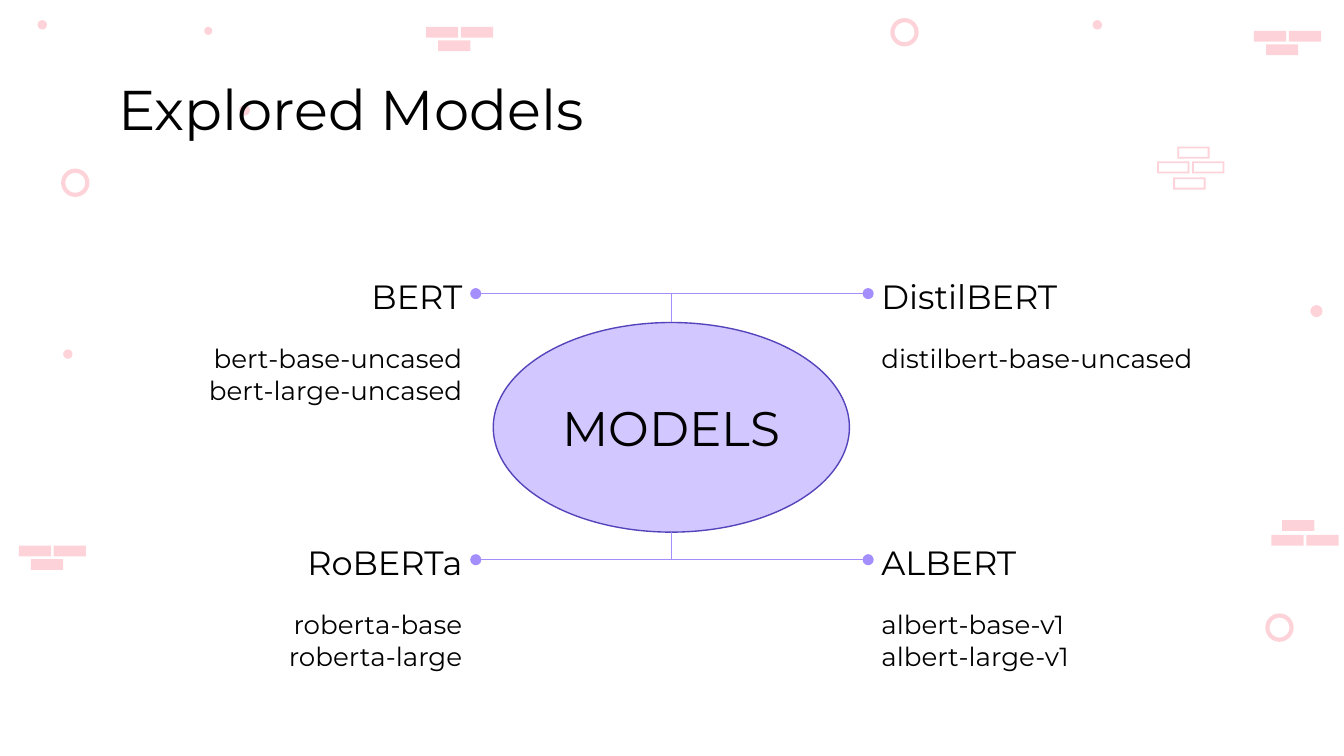
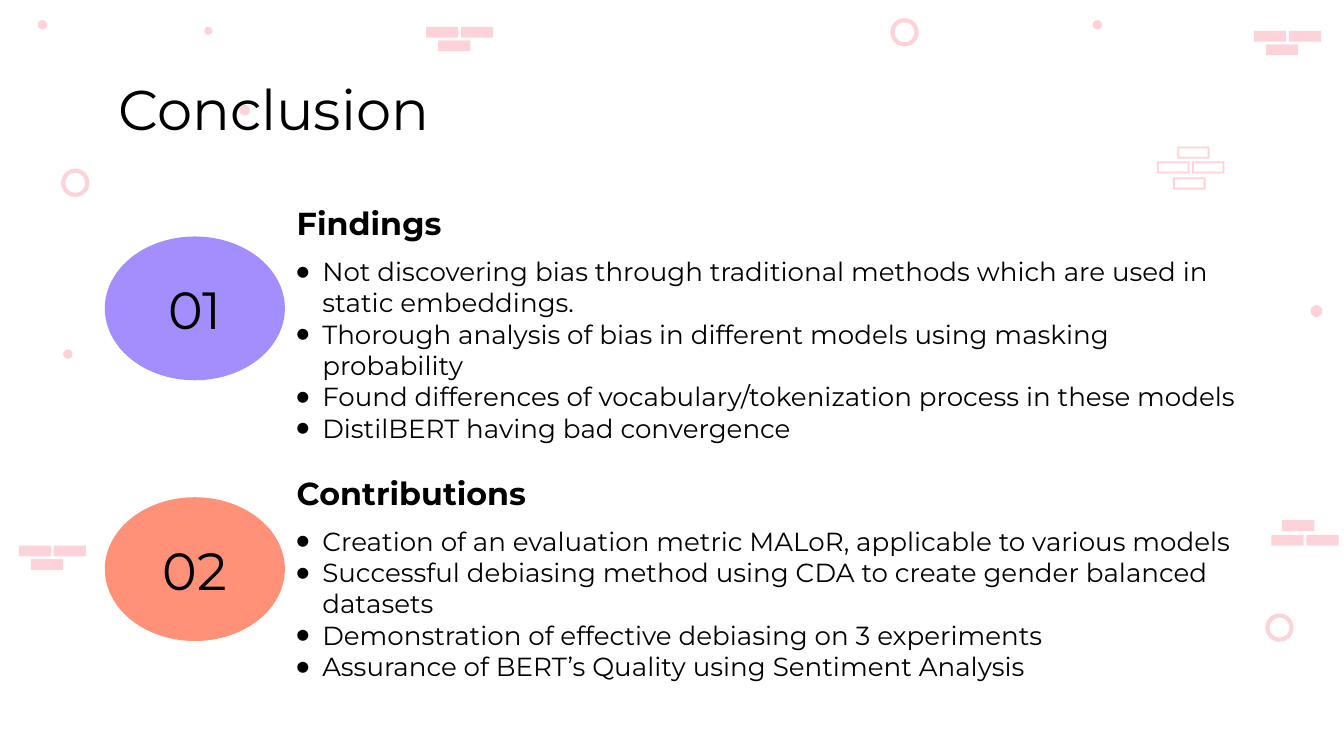
from dataclasses import dataclass

from lxml.etree import SubElement
from pptx import Presentation
from pptx.dml.color import RGBColor
from pptx.enum.shapes import MSO_CONNECTOR, MSO_SHAPE
from pptx.enum.text import MSO_ANCHOR, MSO_AUTO_SIZE, PP_ALIGN
from pptx.oxml.ns import qn
from pptx.util import Inches, Pt


@dataclass(frozen=True)
class Theme:
    """Colours, font and type sizes of the deck."""

    font: str = "Montserrat"
    black: RGBColor = RGBColor.from_string("000000")
    white: RGBColor = RGBColor.from_string("FFFFFF")
    pink: RGBColor = RGBColor.from_string("FDD3D9")
    violet: RGBColor = RGBColor.from_string("A48EFD")
    indigo: RGBColor = RGBColor.from_string("5344BB")
    coral: RGBColor = RGBColor.from_string("FF9178")
    title: int = 30
    number: int = 28
    hub: int = 26
    label: int = 18
    heading: int = 17
    body: int = 14


THEME = Theme()

BRICK_WALLS = [(9.33, 0.23), (3.17, 0.2), (0.14, 4.06)]
WALL_BRICKS = [(0, 0), (0.26, 0), (0.09, 0.1)]
RAISED_WALL = (9.46, 3.87)
RAISED_BRICKS = [(0.08, 0), (0, 0.11), (0.26, 0.11)]
HOLLOW_WALL = (8.61, 1.09)
HOLLOW_BRICKS = [(0, 0.11), (0.15, 0), (0.12, 0.23), (0.26, 0.11)]
DOTS = [
    (8.13, 0.15, 0.07), (1.78, 0.78, 0.08), (9.75, 2.27, 0.09),
    (0.47, 2.6, 0.07), (1.52, 0.2, 0.06), (0.28, 0.15, 0.07),
]
RINGS = [(6.64, 0.15), (0.47, 1.27), (9.43, 4.58)]

MODELS = [
    ("BERT", ["bert-base-uncased bert-large-uncased"], 2.5),
    ("DistilBERT", ["distilbert-base-uncased"], 2.59),
    ("RoBERTa", ["roberta-base\nroberta-large"], 2.5),
    ("ALBERT", ["albert-base-v1", "albert-large-v1"], 2.5),
]

SECTIONS = [
    ("01", THEME.violet, "Findings", 1.76, 2.13, [
        "Not discovering bias through traditional methods which are used in static embeddings.",
        "Thorough analysis of bias in different models using masking probability",
        "Found differences of vocabulary/tokenization process in these models",
        "DistilBERT having bad convergence",
    ]),
    ("02", THEME.coral, "Contributions", 3.7, 4.02, [
        "Creation of an evaluation metric MALoR, applicable to various models",
        "Successful debiasing method using CDA to create gender balanced datasets",
        "Demonstration of effective debiasing on 3 experiments",
        "Assurance of BERT’s Quality using Sentiment Analysis",
    ]),
]


def apply_format(target, values):
    """Set each named attribute of the target."""
    for name, value in values.items():
        setattr(target, name, value)


def add_figure(page, kind, box, fill=None, line=None, width=0.75):
    """Add a preset shape without shadow, with optional fill and line."""
    shape = page.shapes.add_shape(kind, *map(Inches, box))
    shape.shadow.inherit = False
    if fill is None:
        shape.fill.background()
    else:
        shape.fill.solid()
        shape.fill.fore_color.rgb = fill
    if line is None:
        shape.line.fill.background()
    else:
        shape.line.color.rgb = line
        shape.line.width = Pt(width)
    return shape


def prepare_frame(shape, anchor, bottom=0.1):
    """Give a text frame its wrapping, anchor and insets."""
    inset = Inches(0.1)
    apply_format(shape.text_frame, {
        "auto_size": MSO_AUTO_SIZE.NONE, "word_wrap": True, "vertical_anchor": anchor,
        "margin_left": inset, "margin_right": inset,
        "margin_top": inset, "margin_bottom": Inches(bottom),
    })
    return shape.text_frame


def write(para, text, size, align=PP_ALIGN.LEFT, bold=False):
    """Write formatted text into a paragraph, breaking at line ends."""
    para.alignment = align
    for index, line in enumerate(text.splitlines()):
        if index:
            para.add_line_break()
        span = para.add_run()
        span.text = line
        apply_format(span.font, {"name": THEME.font, "size": Pt(size), "bold": bold})
        span.font.color.rgb = THEME.black


def fill_text(shape, lines, size, align=PP_ALIGN.LEFT, anchor=MSO_ANCHOR.MIDDLE):
    """Write paragraphs of one style into a shape."""
    frame = prepare_frame(shape, anchor)
    for index, text in enumerate(lines):
        para = frame.add_paragraph() if index else frame.paragraphs[0]
        write(para, text, size, align)


def add_bullet(para):
    """Give a paragraph a small black bullet and a hanging indent."""
    properties = para._p.get_or_add_pPr()
    properties.set("marL", str(Inches(0.19)))
    properties.set("indent", str(Inches(-0.22)))
    colour = SubElement(properties, qn("a:buClr"))
    SubElement(colour, qn("a:srgbClr"), val=str(THEME.black))
    SubElement(properties, qn("a:buSzPct"), val="55000")
    SubElement(properties, qn("a:buFont"), typeface=THEME.font)
    SubElement(properties, qn("a:buChar"), char="●")


def add_bricks(page, corner, offsets, kind=MSO_SHAPE.RECTANGLE, height=0.08):
    """Lay bricks at offsets from the corner of a wall."""
    left, top = corner
    return [
        add_figure(page, kind, (left + right, top + down, 0.24, height), THEME.pink)
        for right, down in offsets
    ]


def decorate(page):
    """Scatter the pink ornaments and move them to the shared layout."""
    for corner in BRICK_WALLS:
        add_bricks(page, corner, WALL_BRICKS)
    add_bricks(page, RAISED_WALL, RAISED_BRICKS)
    for brick in add_bricks(page, HOLLOW_WALL, HOLLOW_BRICKS, MSO_SHAPE.FRAME, 0.09):
        brick.adjustments[0] = 0.15
    for left, top, size in DOTS:
        add_figure(page, MSO_SHAPE.OVAL, (left, top, size, size), THEME.pink)
    for left, top in RINGS:
        add_figure(page, MSO_SHAPE.OVAL, (left, top, 0.18, 0.18), line=THEME.pink, width=2.25)

    layout = page.slide_layout
    for placeholder in list(layout.placeholders)[1:]:
        placeholder.element.getparent().remove(placeholder.element)
    for shape in list(page.shapes):
        if not shape.is_placeholder:
            layout.element.cSld.spTree.append(shape.element)
    layout.background.fill.solid()
    layout.background.fill.fore_color.rgb = THEME.white


def add_page(deck, title, width):
    """Add a title-only page with its title in place."""
    page = deck.slides.add_slide(deck.slide_layouts[5])
    heading = page.shapes.title
    apply_format(heading, {
        "left": Inches(0.78), "top": Inches(0.58),
        "width": Inches(width), "height": Inches(0.45),
    })
    fill_text(heading, [title], THEME.title)
    return page


def add_hub(page, box):
    """Add the translucent ellipse in the middle of the map."""
    hub = add_figure(page, MSO_SHAPE.OVAL, box, THEME.violet, THEME.indigo)
    colour = hub.element.spPr.find(qn("a:solidFill")).find(qn("a:srgbClr"))
    SubElement(colour, qn("a:alpha"), val="49000")
    fill_text(hub, ["MODELS"], THEME.hub, PP_ALIGN.CENTER)
    return hub


def add_model(page, left, top, align, name, variants, width):
    """Add a model name over its variants and return the name."""
    label = add_figure(page, MSO_SHAPE.ROUNDED_RECTANGLE, (left, top, 2.5, 0.53))
    label.adjustments[0] = 0
    fill_text(label, [name], THEME.label, align, MSO_ANCHOR.BOTTOM)
    box = page.shapes.add_textbox(*map(Inches, (left, top + 0.53, width, 0.53)))
    fill_text(box, variants, THEME.body, align, MSO_ANCHOR.TOP)
    return label


def join(page, label, label_site, hub, hub_site):
    """Join a model name to the hub by a bent line with a dot."""
    connector = page.shapes.add_connector(MSO_CONNECTOR.ELBOW, 0, 0, 0, 0)
    connector.begin_connect(label, label_site)
    connector.end_connect(hub, hub_site)
    connector.line.color.rgb = THEME.violet
    connector.line.width = Pt(0.75)
    element = connector.element
    element.find(".//" + qn("a:endCxn")).set("idx", str(hub_site * 2))
    properties = element.spPr
    properties.find(qn("a:prstGeom")).set("prst", "bentConnector2")
    SubElement(properties.find(qn("a:ln")), qn("a:headEnd"), type="oval")
    SubElement(properties, qn("a:effectLst"))


def build_models(page):
    """Place the four models around the hub."""
    hub = add_hub(page, (3.67, 2.4, 2.65, 1.56))
    columns = [(1.04, PP_ALIGN.RIGHT, 3), (6.46, PP_ALIGN.LEFT, 1)]
    rows = [(1.92, 0), (3.9, 2)]
    for index, model in enumerate(MODELS):
        left, align, label_site = columns[index % 2]
        top, hub_site = rows[index // 2]
        label = add_model(page, left, top, align, *model)
        join(page, label, label_site, hub, hub_site)


def add_section(page, number, colour, heading, badge_top, text_top, points):
    """Add a numbered ellipse beside a heading with bullets."""
    box = page.shapes.add_textbox(*map(Inches, (2.11, text_top, 7.34, 0.92)))
    frame = prepare_frame(box, MSO_ANCHOR.MIDDLE, bottom=0.34)
    first = frame.paragraphs[0]
    first.line_spacing = 0.5
    write(first, heading, THEME.heading, bold=True)
    for index, point in enumerate(points):
        para = frame.add_paragraph()
        add_bullet(para)
        para.space_before = Pt(0 if index else 8.5)
        write(para, point, THEME.body)
    badge = add_figure(page, MSO_SHAPE.OVAL, (0.78, badge_top, 1.34, 1.07), colour)
    fill_text(badge, [number], THEME.number, PP_ALIGN.CENTER)


def main():
    """Build and save the deck."""
    deck = Presentation()
    deck.slide_width, deck.slide_height = Inches(10), Inches(10 * 9 / 16)
    models = add_page(deck, "Explored Models", 8.43)
    decorate(models)
    build_models(models)
    conclusion = add_page(deck, "Conclusion", 7.88)
    for section in SECTIONS:
        add_section(conclusion, *section)
    deck.save("out.pptx")


if __name__ == "__main__":
    main()
